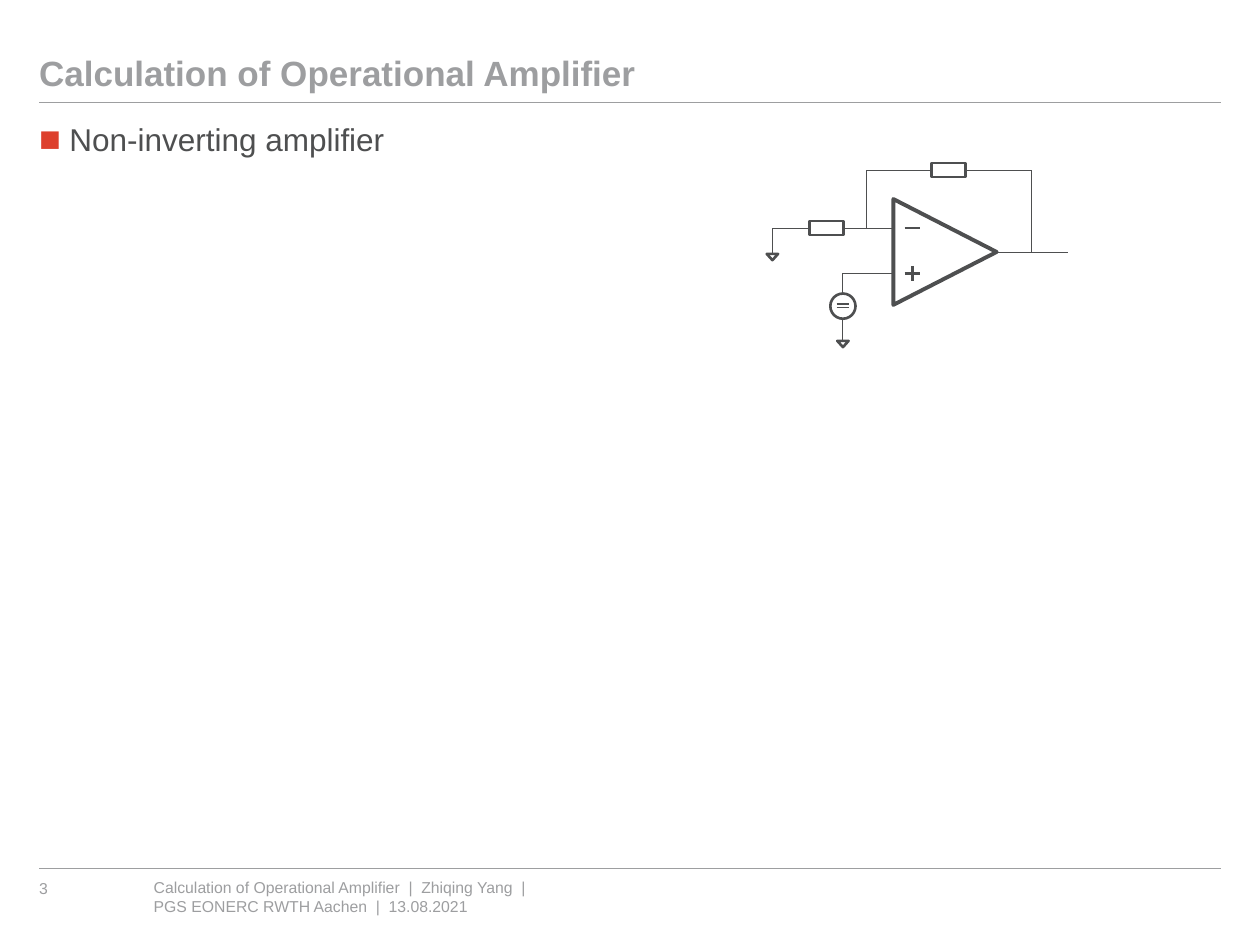
from lxml import etree
from pptx import Presentation
from pptx.dml.color import RGBColor
from pptx.enum.shapes import MSO_CONNECTOR, MSO_SHAPE
from pptx.enum.text import MSO_ANCHOR, MSO_AUTO_SIZE, PP_ALIGN
from pptx.oxml.ns import qn
from pptx.util import Inches, Pt

STRAIGHT = MSO_CONNECTOR.STRAIGHT
TRIANGLE, RECTANGLE, OVAL = MSO_SHAPE.ISOSCELES_TRIANGLE, MSO_SHAPE.RECTANGLE, MSO_SHAPE.OVAL
TOP, BOTTOM = MSO_ANCHOR.TOP, MSO_ANCHOR.BOTTOM
LEFT, NO_FIT = PP_ALIGN.LEFT, MSO_AUTO_SIZE.NONE
GRAY = RGBColor(0x9D, 0x9E, 0xA0)
DARK = RGBColor(0x4E, 0x4F, 0x50)
RED = RGBColor(0xDD, 0x40, 0x2D)
WHITE = RGBColor(0xFF, 0xFF, 0xFF)
FONT = "Arial"

TITLE = "Calculation of Operational Amplifier"
BULLET = "Non-inverting amplifier"
PAGE = "3"
FOOTER = [TITLE + "  |  Zhiqing Yang  |", "PGS EONERC RWTH Aachen  |  13.08.2021"]

WIDTH, HEIGHT = 10, 7.5
MARGIN = 0.31
CONTENT = WIDTH - 2 * MARGIN
HEADER_RULE, FOOTER_RULE, FOOTER_TOP = 0.81, 6.89, 6.97

FEEDBACK_Y, MINUS_Y, OUT_Y, PLUS_Y = 1.35, 1.81, 2.0, 2.17
GROUND_X, SOURCE_X, FEEDBACK_X, INPUT_X = 6.13, 6.69, 6.88, 7.09
APEX_X, TAP_X, OUT_X = 7.92, 8.19, 8.48
SIGN_X, SIGN = 7.24, 0.12
SOURCE_Y, SOURCE_SIZE = 2.43, 0.2
RESISTOR = (0.27, 0.11)
GROUND = (0.09, 0.05)

WIRES = [
    (APEX_X, OUT_Y, OUT_X, OUT_Y),
    (SOURCE_X, PLUS_Y, INPUT_X, PLUS_Y),
    (GROUND_X, MINUS_Y, INPUT_X, MINUS_Y),
    (SOURCE_X, PLUS_Y, SOURCE_X, 2.7),
    (GROUND_X, MINUS_Y, GROUND_X, 2.01),
    (FEEDBACK_X, FEEDBACK_Y, FEEDBACK_X, MINUS_Y),
    (TAP_X, FEEDBACK_Y, TAP_X, OUT_Y),
    (FEEDBACK_X, FEEDBACK_Y, TAP_X, FEEDBACK_Y),
]
SIGNS = [
    (SIGN_X - SIGN / 2, MINUS_Y, SIGN_X + SIGN / 2, MINUS_Y),
    (SIGN_X - SIGN / 2, PLUS_Y, SIGN_X + SIGN / 2, PLUS_Y),
    (SIGN_X, PLUS_Y - SIGN / 2, SIGN_X, PLUS_Y + SIGN / 2),
]
RESISTORS = [(6.56, MINUS_Y), (7.53, FEEDBACK_Y)]
GROUNDS = [(GROUND_X, 2.04), (SOURCE_X, 2.73)]


def add_line(shapes, ends, color, width):
    """Draw a straight line between two points."""
    line = shapes.add_connector(STRAIGHT, *map(Inches, ends))
    line.line.color.rgb = color
    line.line.width = Pt(width)
    etree.SubElement(line._element.spPr, qn("a:effectLst"))


def add_part(shapes, kind, center, size, width=1.5, rotation=0, fill=WHITE):
    """Draw an outlined circuit part around its centre."""
    (x, y), (w, h) = center, size
    part = shapes.add_shape(kind, *map(Inches, (x - w / 2, y - h / 2, w, h)))
    part.rotation = rotation
    part.shadow.inherit = False
    if fill is None:
        part.fill.background()
    else:
        part.fill.solid()
        part.fill.fore_color.rgb = fill
    part.line.color.rgb = DARK
    part.line.width = Pt(width)


def set_text(holder, box, lines, size, color, bold=False, anchor=TOP):
    """Place a text holder and fill it with formatted paragraphs."""
    holder.left, holder.top, holder.width, holder.height = map(Inches, box)
    frame = holder.text_frame
    frame.margin_left = frame.margin_top = frame.margin_right = frame.margin_bottom = 0
    frame.word_wrap = True
    frame.auto_size = NO_FIT
    frame.vertical_anchor = anchor
    frame.text = "\n".join(lines)
    for paragraph in frame.paragraphs:
        paragraph.alignment = LEFT
        paragraph.space_before = Pt(0)
        for run in paragraph.runs:
            run.font.name = FONT
            run.font.size = Pt(size)
            run.font.bold = bold
            run.font.color.rgb = color


def add_bullet(paragraph):
    """Give a paragraph a red square bullet with a hanging indent."""
    props = paragraph._p.get_or_add_pPr()
    props.set("marL", str(Inches(0.24)))
    props.set("indent", str(-Inches(0.24)))
    bullet_color = etree.SubElement(props, qn("a:buClr"))
    etree.SubElement(bullet_color, qn("a:srgbClr"), val=str(RED))
    etree.SubElement(props, qn("a:buSzPct"), val="115000")
    etree.SubElement(props, qn("a:buFont"), typeface=FONT)
    etree.SubElement(props, qn("a:buChar"), char="■")


def draw_circuit(shapes):
    """Draw the non-inverting amplifier circuit."""
    for wire in WIRES:
        add_line(shapes, wire, DARK, 0.5)
    add_part(shapes, TRIANGLE, (7.5, OUT_Y), (0.84, 0.82), 2.25, 90, None)
    for sign in SIGNS:
        add_line(shapes, sign, DARK, 1.5)
    for center in RESISTORS:
        add_part(shapes, RECTANGLE, center, RESISTOR)
    for center in GROUNDS:
        add_part(shapes, TRIANGLE, center, GROUND, rotation=180)
    source = shapes.add_group_shape().shapes
    add_part(source, OVAL, (SOURCE_X, SOURCE_Y), (SOURCE_SIZE, SOURCE_SIZE))
    for y in (2.41, 2.44):
        add_line(source, (SOURCE_X - 0.05, y, SOURCE_X + 0.05, y), DARK, 1)


def main():
    """Build the slide and save it."""
    deck = Presentation()
    deck.slide_width, deck.slide_height = Inches(WIDTH), Inches(HEIGHT)
    slide = deck.slides.add_slide(deck.slide_layouts[1])
    shapes = slide.shapes
    title, body = shapes.title, slide.placeholders[1]

    set_text(title, (MARGIN, 0.16, CONTENT, 0.59), [TITLE], 20, GRAY, True, BOTTOM)
    title.text_frame.paragraphs[0].line_spacing = 0.9
    set_text(body, (MARGIN, 0.95, CONTENT, 5.79), [BULLET], 18, DARK)
    add_bullet(body.text_frame.paragraphs[0])

    for y in (HEADER_RULE, FOOTER_RULE):
        add_line(shapes, (MARGIN, y, WIDTH - MARGIN, y), GRAY, 0.5)
    for box, lines in [
        ((MARGIN, FOOTER_TOP, 0.72, 0.15), [PAGE]),
        ((1.22, FOOTER_TOP, 4.12, 0.47), FOOTER),
    ]:
        set_text(shapes.add_textbox(0, 0, 0, 0), box, lines, 9, GRAY)

    draw_circuit(shapes)
    deck.save("out.pptx")


if __name__ == "__main__":
    main()
